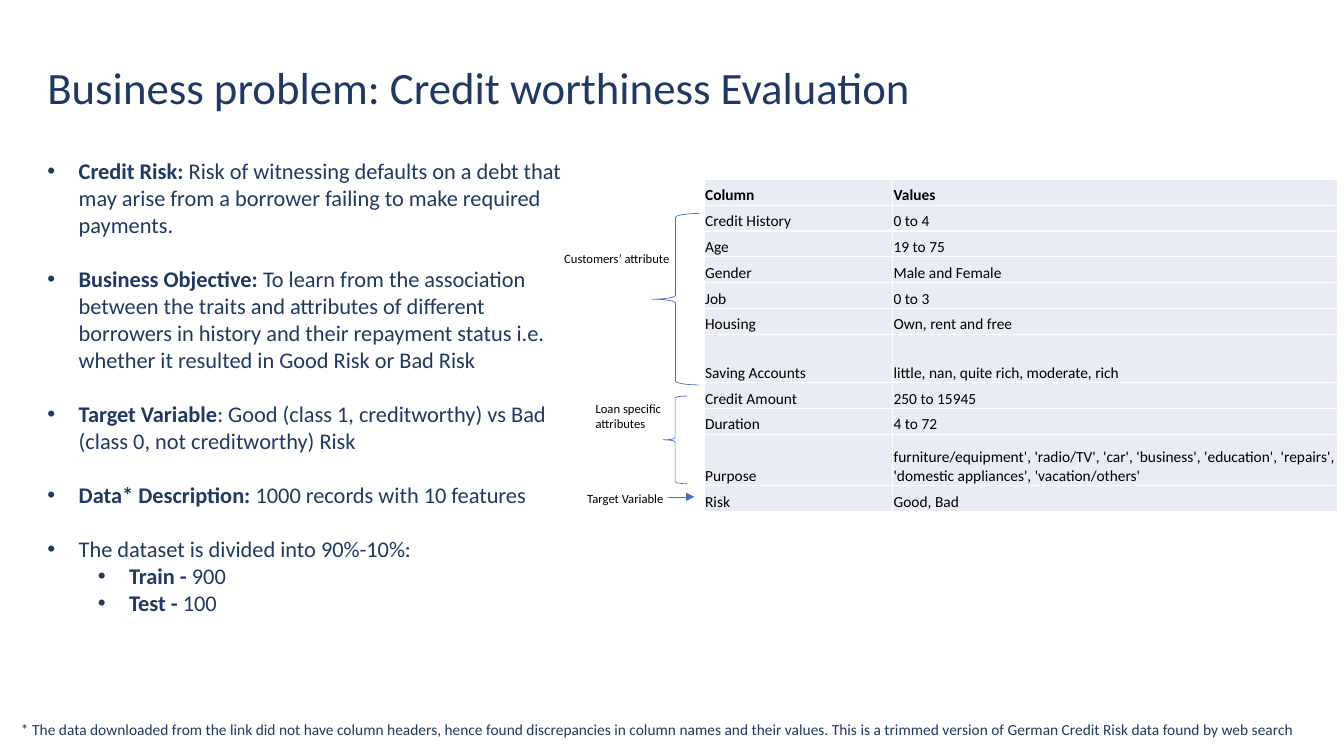
from dataclasses import dataclass

from lxml import etree
from pptx import Presentation
from pptx.dml.color import RGBColor
from pptx.enum.shapes import MSO_CONNECTOR, MSO_SHAPE
from pptx.enum.text import MSO_ANCHOR, MSO_AUTO_SIZE, PP_ALIGN
from pptx.oxml.ns import qn
from pptx.util import Cm, Pt

STRAIGHT = MSO_CONNECTOR.STRAIGHT
LEFT_BRACE = MSO_SHAPE.LEFT_BRACE
LEFT, MIDDLE, BOTTOM = PP_ALIGN.LEFT, MSO_ANCHOR.MIDDLE, MSO_ANCHOR.BOTTOM
NO_AUTOFIT = MSO_AUTO_SIZE.NONE

TITLE = "Business problem: Credit worthiness Evaluation"
# (level, bold lead, text, gap below)
BULLETS = [
    (0, "Credit Risk: ", "Risk of witnessing defaults on a debt that may arise from a "
     "borrower failing to make required payments.", True),
    (0, "Business Objective: ", "To learn from the association between the traits and "
     "attributes of different borrowers in history and their repayment status i.e. "
     "whether it resulted in Good Risk or Bad Risk", True),
    (0, "Target Variable", ": Good (class 1, creditworthy) vs Bad (class 0, not "
     "creditworthy) Risk", True),
    (0, "Data* Description: ", "1000 records with 10 features", True),
    (0, "", "The dataset is divided into 90%-10%:", False),
    (1, "Train - ", "900", False),
    (1, "Test - ", "100", False),
]
COLUMNS = [
    ("Column", "Values"),
    ("Credit History", "0 to 4"),
    ("Age", "19 to 75"),
    ("Gender", "Male and Female"),
    ("Job", "0 to 3"),
    ("Housing", "Own, rent and free"),
    ("Saving Accounts", "little, nan, quite rich, moderate, rich"),
    ("Credit Amount", "250 to 15945"),
    ("Duration", "4 to 72"),
    ("Purpose", "furniture/equipment', 'radio/TV', 'car', 'business', 'education', "
     "'repairs', 'domestic appliances', 'vacation/others'"),
    ("Risk", "Good, Bad"),
]
FOOTNOTE = ("* The data downloaded from the link did not have column headers, hence found "
            "discrepancies in column names and their values. This is a trimmed version of "
            "German Credit Risk data found by web search")

# Places in cm: left, top, width, height
TITLE_BOX = (0.94, 0.43, 29.21, 3.68)
BODY_BOX = (0.94, 3.84, 13.69, 12.65)
FOOTNOTE_BOX = (0.28, 18.01, 33.5, 0.74)
TABLE_LEFT, TABLE_TOP = 17.75, 4.52
COLUMN_WIDTHS = (4.75, 11.2)
ROW_HEIGHT = 0.65
TALL_ROWS = {"Saving Accounts": 1.22, "Purpose": 1.3}
BRACES = [(16.43, 5.38, 1.19, 4.32), (16.71, 9.98, 0.61, 2.21)]
LABELS = [
    ("Customers’ attribute", (13.97, 6.2, 3.2, 0.64)),
    ("Loan specific attributes", (14.76, 9.98, 3.2, 1.02)),
    ("Target Variable", (14.55, 12.24, 3.2, 0.64)),
]
ARROW = (16.84, 12.52, 17.5, 12.52)
HANGING, LEVEL_STEP = 0.79, 1.27


@dataclass(frozen=True)
class Theme:
    font: str = "Calibri"
    navy: RGBColor = RGBColor(0x20, 0x38, 0x64)
    black: RGBColor = RGBColor(0, 0, 0)
    blue: RGBColor = RGBColor(0x44, 0x72, 0xC4)
    cell: RGBColor = RGBColor(0xE9, 0xEB, 0xF5)
    title: Pt = Pt(32)
    body: Pt = Pt(16)
    small: Pt = Pt(11)
    label: Pt = Pt(9)
    gap: Pt = Pt(19.5)
    line: Pt = Pt(0.5)


THEME = Theme()


def set_attributes(target, values):
    for name, value in values.items():
        setattr(target, name, value)


def place(shape, box):
    set_attributes(shape, dict(zip(("left", "top", "width", "height"), map(Cm, box))))


def add_run(p, text, size, color, bold=False):
    r = p.add_run()
    r.text = text
    set_attributes(r.font, {"name": THEME.font, "size": size, "bold": bold})
    r.font.color.rgb = color


def add_label(s, text, box, size, color):
    tf = s.shapes.add_textbox(*map(Cm, box)).text_frame
    tf.word_wrap = True
    add_run(tf.paragraphs[0], text, size, color)


def style_line(shape):
    shape.line.color.rgb = THEME.blue
    shape.line.width = THEME.line


def fill_title(title):
    place(title, TITLE_BOX)
    tf = title.text_frame
    set_attributes(tf, {"vertical_anchor": MIDDLE, "auto_size": NO_AUTOFIT, "word_wrap": True})
    p = tf.paragraphs[0]
    set_attributes(p, {"alignment": LEFT, "line_spacing": 0.9})
    add_run(p, TITLE, THEME.title, THEME.navy)


def fill_body(body):
    place(body, BODY_BOX)
    tf = body.text_frame
    tf.auto_size = NO_AUTOFIT
    for i, (level, lead, text, gap) in enumerate(BULLETS):
        p = tf.add_paragraph() if i else tf.paragraphs[0]
        set_attributes(p, {"level": level, "space_before": Pt(0),
                           "space_after": THEME.gap if gap else Pt(0)})
        if lead:
            add_run(p, lead, THEME.body, THEME.navy, True)
        add_run(p, text, THEME.body, THEME.navy)
        props = p._p.get_or_add_pPr()
        props.set("marL", str(Cm(HANGING + level * LEVEL_STEP)))
        props.set("indent", str(-Cm(HANGING)))
        etree.SubElement(props, qn("a:buFont")).set("typeface", "Arial")
        etree.SubElement(props, qn("a:buChar")).set("char", "•")


def add_column_table(s):
    heights = [TALL_ROWS.get(name, ROW_HEIGHT) for name, _ in COLUMNS]
    box = (TABLE_LEFT, TABLE_TOP, sum(COLUMN_WIDTHS), sum(heights))
    table = s.shapes.add_table(len(COLUMNS), len(COLUMN_WIDTHS), *map(Cm, box)).table
    set_attributes(table, {"first_row": False, "horz_banding": False})
    for column, width in zip(table.columns, COLUMN_WIDTHS):
        column.width = Cm(width)
    for i, (row, height, texts) in enumerate(zip(table.rows, heights, COLUMNS)):
        row.height = Cm(height)
        for cell, text in zip(row.cells, texts):
            set_attributes(cell, {"vertical_anchor": BOTTOM, "margin_left": Cm(0.02),
                                  "margin_right": Cm(0.02), "margin_top": Cm(0.02),
                                  "margin_bottom": 0})
            cell.fill.solid()
            cell.fill.fore_color.rgb = THEME.cell
            add_run(cell.text_frame.paragraphs[0], text, THEME.small, THEME.black, i == 0)


def add_brace(s, box):
    brace = s.shapes.add_shape(LEFT_BRACE, *map(Cm, box))
    brace.shadow.inherit = False
    brace.fill.background()
    style_line(brace)


def add_arrow(s, ends):
    arrow = s.shapes.add_connector(STRAIGHT, *map(Cm, ends))
    style_line(arrow)
    etree.SubElement(arrow.line._get_or_add_ln(), qn("a:tailEnd")).set("type", "triangle")
    etree.SubElement(arrow._element.spPr, qn("a:effectLst"))


def main():
    prs = Presentation()
    set_attributes(prs, {"slide_width": Cm(33.87), "slide_height": Cm(19.05)})
    s = prs.slides.add_slide(prs.slide_layouts[1])
    fill_title(s.shapes.title)
    fill_body(s.placeholders[1])
    add_column_table(s)
    for box in BRACES:
        add_brace(s, box)
    for text, box in LABELS:
        add_label(s, text, box, THEME.label, THEME.black)
    add_arrow(s, ARROW)
    add_label(s, FOOTNOTE, FOOTNOTE_BOX, THEME.small, THEME.navy)
    prs.save("out.pptx")


if __name__ == "__main__":
    main()
